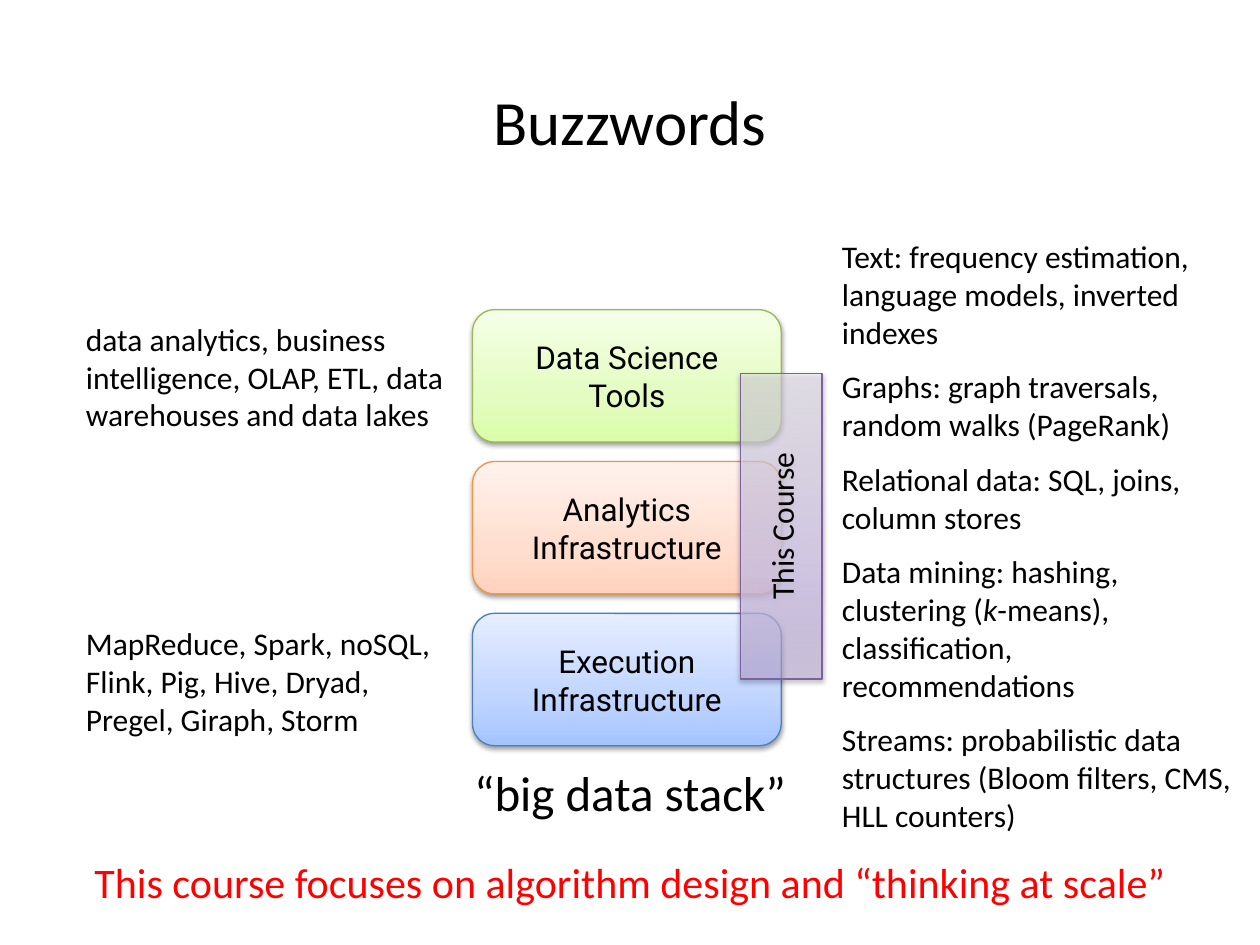
from lxml import etree
from pptx import Presentation
from pptx.dml.color import RGBColor
from pptx.enum.shapes import MSO_SHAPE
from pptx.enum.text import MSO_ANCHOR, PP_ALIGN
from pptx.oxml import parse_xml
from pptx.util import Pt

RECT, ROUND = MSO_SHAPE.RECTANGLE, MSO_SHAPE.ROUNDED_RECTANGLE
LEFT, MID = PP_ALIGN.LEFT, PP_ALIGN.CENTER
TOP, CORE = MSO_ANCHOR.TOP, MSO_ANCHOR.MIDDLE
NS = "http://schemas.openxmlformats.org/drawingml/2006/main"


class Theme:
    font, label = "Calibri", "Roboto"
    black, red = "000000", "FF0000"
    title, stack, focus, body = 36, 28, 24, 18
    # Line colour, then gradient colours from bottom to top
    green = "98B955", ("DAFDA7", "E4FCC2", "F5FFE7")
    orange = "F69240", ("FFD2BD", "FFDED0", "FFF2ED")
    blue = "4B7EBC", ("A4C4FF", "BFD4FF", "E6EEFF")
    purple = "7D60A0", ("C9B5E8", "D8CBEE", "F0EAF9")


def write(shape, text, size=Theme.body, font=Theme.font, color=Theme.black,
          align=LEFT, anchor=TOP, gap=0):
    """Fill a shape with text: newline = paragraph, \\v = break, *x* = italic."""
    frame = shape.text_frame
    frame.word_wrap = True
    frame.vertical_anchor = anchor
    for i, line in enumerate(text.split("\n")):
        para = frame.paragraphs[0] if i == 0 else frame.add_paragraph()
        para.alignment = align
        if i:
            para.space_before = Pt(gap)
        for j, part in enumerate(line.split("*")):
            for k, piece in enumerate(part.split("\v")):
                if k:
                    para.add_line_break()
                run = para.add_run()
                run.text = piece
                run.font.name, run.font.size = font, Pt(size)
                run.font.color.rgb = RGBColor.from_string(color)
                if j % 2:
                    run.font.italic = True


def block(kind, box, look, alphas=(100, 100, 100)):
    """Add a shape with an upward gradient, a thin line and a soft shadow."""
    shape = slide.shapes.add_shape(kind, *map(Pt, box))
    edge, tones = look
    shape.line.color.rgb = RGBColor.from_string(edge)
    shape.line.width = Pt(0.75)
    stops = "".join(
        f'<a:gs pos="{pos}000"><a:srgbClr val="{tone}">'
        f'<a:alpha val="{alpha}000"/></a:srgbClr></a:gs>'
        for pos, tone, alpha in zip((0, 35, 100), tones, alphas))
    props = shape.element.spPr
    props.find(f"{{{NS}}}prstGeom").addnext(parse_xml(
        f'<a:gradFill xmlns:a="{NS}" rotWithShape="1"><a:gsLst>{stops}</a:gsLst>'
        '<a:lin ang="16200000" scaled="0"/></a:gradFill>'))
    shape.shadow.inherit = False
    glow = etree.SubElement(
        props.find(f"{{{NS}}}effectLst"), f"{{{NS}}}outerShdw",
        blurRad=str(Pt(3.1)), dist=str(Pt(1.6)), dir="5400000", rotWithShape="0")
    tint = etree.SubElement(glow, f"{{{NS}}}srgbClr", val=Theme.black)
    etree.SubElement(tint, f"{{{NS}}}alpha", val="38000")
    return shape


deck = Presentation()
deck.slide_width, deck.slide_height = Pt(720), Pt(540)
slide = deck.slides.add_slide(deck.slide_layouts[6])

# Stack of three layers
layers = (
    ("Data Science\nTools", Theme.green),
    ("Analytics Infrastructure", Theme.orange),
    ("Execution\vInfrastructure", Theme.blue),
)
for i, (name, look) in enumerate(layers):
    layer = block(ROUND, (270, 177 + i * 86.75, 176.4, 75.6), look)
    write(layer, name, font=Theme.label, align=MID, anchor=CORE)

# Course span across the layers
span = block(RECT, (423, 213.6, 46.8, 174.4), Theme.purple, (50, 80, 50))
write(span, "This Course", align=MID, anchor=CORE)
span.text_frame._txBody.bodyPr.set("vert", "vert270")

# Title, side notes, caption and closing line
topics = "\n".join((
    "Text: frequency estimation, language models, inverted indexes",
    "Graphs: graph traversals, random walks (PageRank)",
    "Relational data: SQL, joins, column stores",
    "Data mining: hashing, clustering (*k*-means), classification, recommendations",
    "Streams: probabilistic data structures (Bloom filters, CMS, HLL counters)",
))
notes = (
    ((0, 42, 720, 54), "Buzzwords",
     dict(size=Theme.title, align=MID, anchor=CORE)),
    ((42, 179.2, 228, 72.7),
     "data analytics, business intelligence, OLAP, ETL, data warehouses and data lakes",
     {}),
    ((42, 353.2, 228, 72.7),
     "MapReduce, Spark, noSQL, Flink, Pig, Hive, Dryad, Pregel, Giraph, Storm", {}),
    ((474, 132, 240, 334), topics, dict(gap=9.6)),
    ((0, 432, 720, 54), "“big data stack”", dict(size=Theme.stack, align=MID)),
    ((0, 486, 720, 36),
     "This course focuses on algorithm design and “thinking at scale”",
     dict(size=Theme.focus, color=Theme.red, align=MID)),
)
for box, text, form in notes:
    write(slide.shapes.add_textbox(*map(Pt, box)), text, **form)

deck.save("out.pptx")
